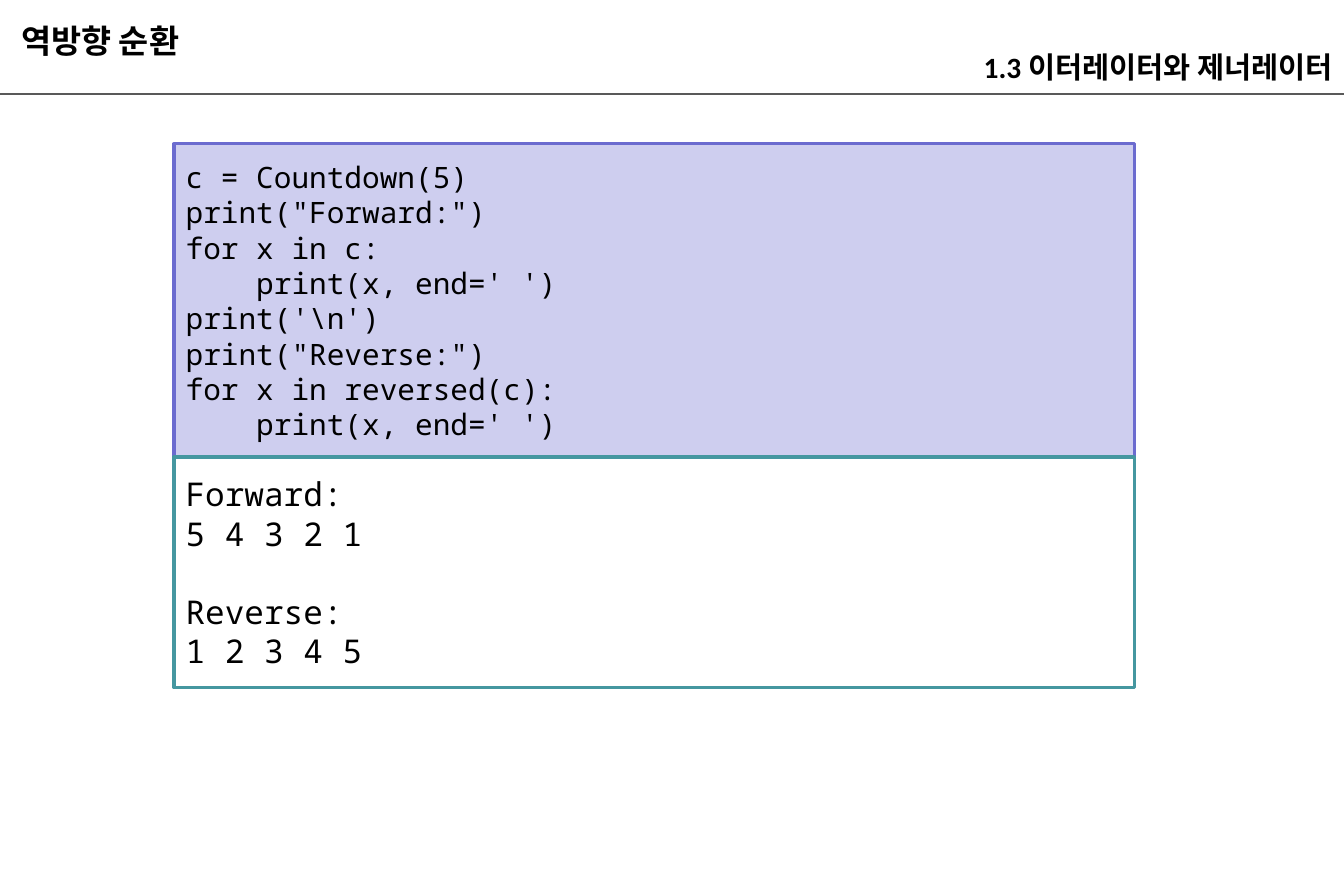
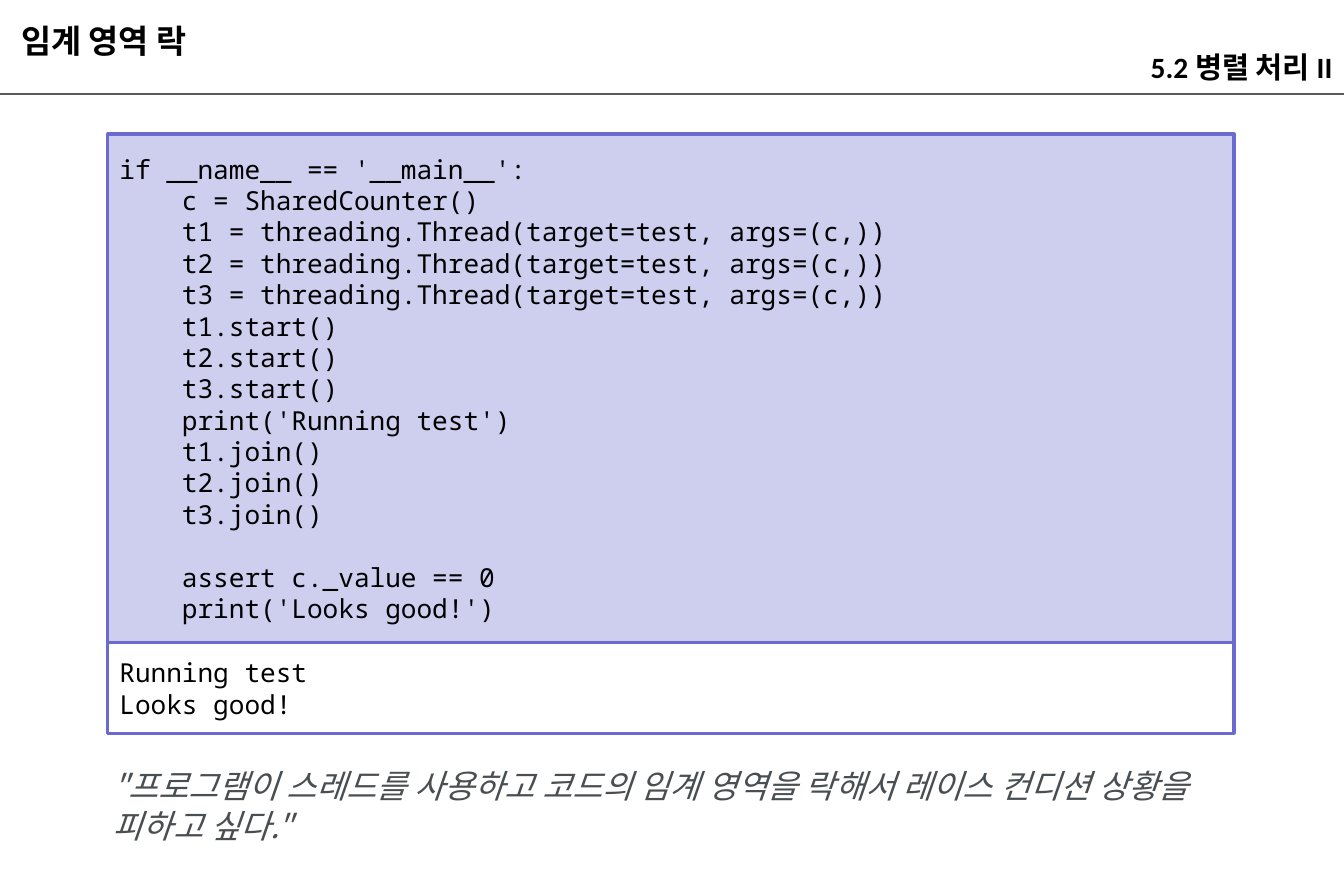
"""Build two Python lecture slides with code and its output."""
from dataclasses import dataclass

from pptx import Presentation
from pptx.dml.color import RGBColor
from pptx.enum.shapes import MSO_CONNECTOR, MSO_SHAPE
from pptx.enum.text import MSO_ANCHOR, MSO_AUTO_SIZE, PP_ALIGN
from pptx.oxml.ns import qn
from pptx.util import Pt
from lxml.etree import SubElement


@dataclass(frozen=True)
class Theme:
    width: float = 822.25
    height: float = 540
    rule_top: float = 57.6
    rule_weight: float = 1.5
    panel_weight: float = 2
    line_pitch: float = 1.2
    heading_font: str = "Calibri"
    korean_font: str = "Noto Sans CJK KR"
    code_font: str = "Noto Sans Mono"
    title_size: float = 20
    section_size: float = 18
    quote_size: float = 20
    ink: RGBColor = RGBColor.from_string("000000")
    paper: RGBColor = RGBColor.from_string("FFFFFF")
    rule: RGBColor = RGBColor.from_string("595959")
    quote: RGBColor = RGBColor.from_string("494E52")
    code_fill: RGBColor = RGBColor.from_string("CECEEF")
    violet: RGBColor = RGBColor.from_string("6B6BCF")
    teal: RGBColor = RGBColor.from_string("4597A0")


THEME = Theme()

COUNTDOWN_CODE = r"""c = Countdown(5)
print("Forward:")
for x in c:
    print(x, end=' ')
print('\n')
print("Reverse:")
for x in reversed(c):
    print(x, end=' ')"""

COUNTDOWN_OUTPUT = """Forward:
5 4 3 2 1

Reverse:
1 2 3 4 5"""

LOCK_CODE = """if __name__ == '__main__':
    c = SharedCounter()
    t1 = threading.Thread(target=test, args=(c,))
    t2 = threading.Thread(target=test, args=(c,))
    t3 = threading.Thread(target=test, args=(c,))
    t1.start()
    t2.start()
    t3.start()
    print('Running test')
    t1.join()
    t2.join()
    t3.join()

    assert c._value == 0
    print('Looks good!')"""

LOCK_OUTPUT = """Running test
Looks good!"""

LOCK_QUOTE = '"프로그램이 스레드를 사용하고 코드의 임계 영역을 락해서 레이스 컨디션 상황을 피하고 싶다."'


def style_paragraph(paragraph, font_name, size, color, bold=False, italic=False):
    """Set the Latin and Korean type of a whole paragraph."""
    font = paragraph.font
    font.name, font.size = font_name, Pt(size)
    font.bold, font.italic = bold, italic
    font.color.rgb = color
    properties = paragraph._p.get_or_add_pPr().get_or_add_defRPr()
    SubElement(properties, qn("a:ea"), typeface=THEME.korean_font)


def place(shape, left, top, width, height):
    """Move and size a shape in points."""
    shape.left, shape.top = Pt(left), Pt(top)
    shape.width, shape.height = Pt(width), Pt(height)


def write_heading(shape, text, size, alignment):
    """Write one bold heading line on the bottom edge of its box."""
    frame = shape.text_frame
    frame.word_wrap = True
    frame.auto_size = MSO_AUTO_SIZE.NONE
    frame.vertical_anchor = MSO_ANCHOR.BOTTOM
    frame.margin_left = frame.margin_right = Pt(7.2)
    frame.margin_top = frame.margin_bottom = Pt(1.44)
    paragraph = frame.paragraphs[0]
    paragraph.text, paragraph.alignment = text, alignment
    style_paragraph(paragraph, THEME.heading_font, size, THEME.ink, bold=True)


def add_lecture_slide(presentation, title, title_width, section):
    """Add a slide with its title and section label."""
    slide = presentation.slides.add_slide(presentation.slide_layouts[5])
    place(slide.shapes.title, 5.75, 6.5, title_width, 31.7)
    write_heading(slide.shapes.title, title, THEME.title_size, PP_ALIGN.LEFT)
    label = slide.shapes.add_textbox(Pt(440), Pt(21.6), Pt(382.25), Pt(31.7))
    write_heading(label, section, THEME.section_size, PP_ALIGN.RIGHT)
    return slide


def add_panel(slide, text, box, size, fill, outline):
    """Add a monospaced panel, turning each empty line into paragraph spacing."""
    panel = slide.shapes.add_shape(MSO_SHAPE.RECTANGLE, *map(Pt, box))
    panel.shadow.inherit = False
    panel.fill.solid()
    panel.fill.fore_color.rgb = fill
    panel.line.color.rgb = outline
    panel.line.width = Pt(THEME.panel_weight)
    frame = panel.text_frame
    frame.vertical_anchor = MSO_ANCHOR.MIDDLE
    for index, block in enumerate(text.split("\n\n")):
        for row, line in enumerate(block.split("\n")):
            first = index == row == 0
            paragraph = frame.paragraphs[0] if first else frame.add_paragraph()
            paragraph.text, paragraph.alignment = line, PP_ALIGN.LEFT
            if index and row == 0:
                paragraph.space_before = Pt(size * THEME.line_pitch)
            style_paragraph(paragraph, THEME.code_font, size, THEME.ink)


def add_listing(slide, code, output, box, output_height, sizes, output_outline):
    """Stack a code panel and its output panel."""
    left, top, width, height = box
    code_size, output_size = sizes
    add_panel(slide, code, box, code_size, THEME.code_fill, THEME.violet)
    output_box = (left, top + height, width, output_height)
    add_panel(slide, output, output_box, output_size, THEME.paper, output_outline)


def add_quote(slide, text, box):
    """Add an italic remark."""
    frame = slide.shapes.add_textbox(*map(Pt, box)).text_frame
    frame.word_wrap = True
    paragraph = frame.paragraphs[0]
    paragraph.text = text
    style_paragraph(paragraph, THEME.korean_font, THEME.quote_size, THEME.quote, italic=True)


def add_master_rule(presentation, slide):
    """Draw the header rule and hand it to the slide master."""
    rule = slide.shapes.add_connector(
        MSO_CONNECTOR.STRAIGHT, Pt(0), Pt(THEME.rule_top), Pt(THEME.width), Pt(THEME.rule_top))
    rule.line.color.rgb = THEME.rule
    rule.line.width = Pt(THEME.rule_weight)
    SubElement(rule.element.spPr, qn("a:effectLst"))
    rule.element.nvCxnSpPr.cNvPr.id = 100
    presentation.slide_master.element.cSld.spTree.append(rule.element)


def main():
    """Build and save the presentation."""
    presentation = Presentation()
    presentation.slide_width = Pt(THEME.width)
    presentation.slide_height = Pt(THEME.height)

    countdown = add_lecture_slide(presentation, "역방향 순환", 368, "1.3 이터레이터와 제너레이터")
    add_master_rule(presentation, countdown)
    add_listing(countdown, COUNTDOWN_CODE, COUNTDOWN_OUTPUT,
                (106.5, 88, 587.5, 191.5), 141, (18, 20), THEME.teal)

    lock = add_lecture_slide(presentation, "임계 영역 락", 467, "5.2 병렬 처리 II")
    add_listing(lock, LOCK_CODE, LOCK_OUTPUT,
                (66, 82, 689, 311), 55.5, (16, 16), THEME.violet)
    add_quote(lock, LOCK_QUOTE, (62, 465, 698.5, 55.5))

    presentation.save("out.pptx")


if __name__ == "__main__":
    main()
